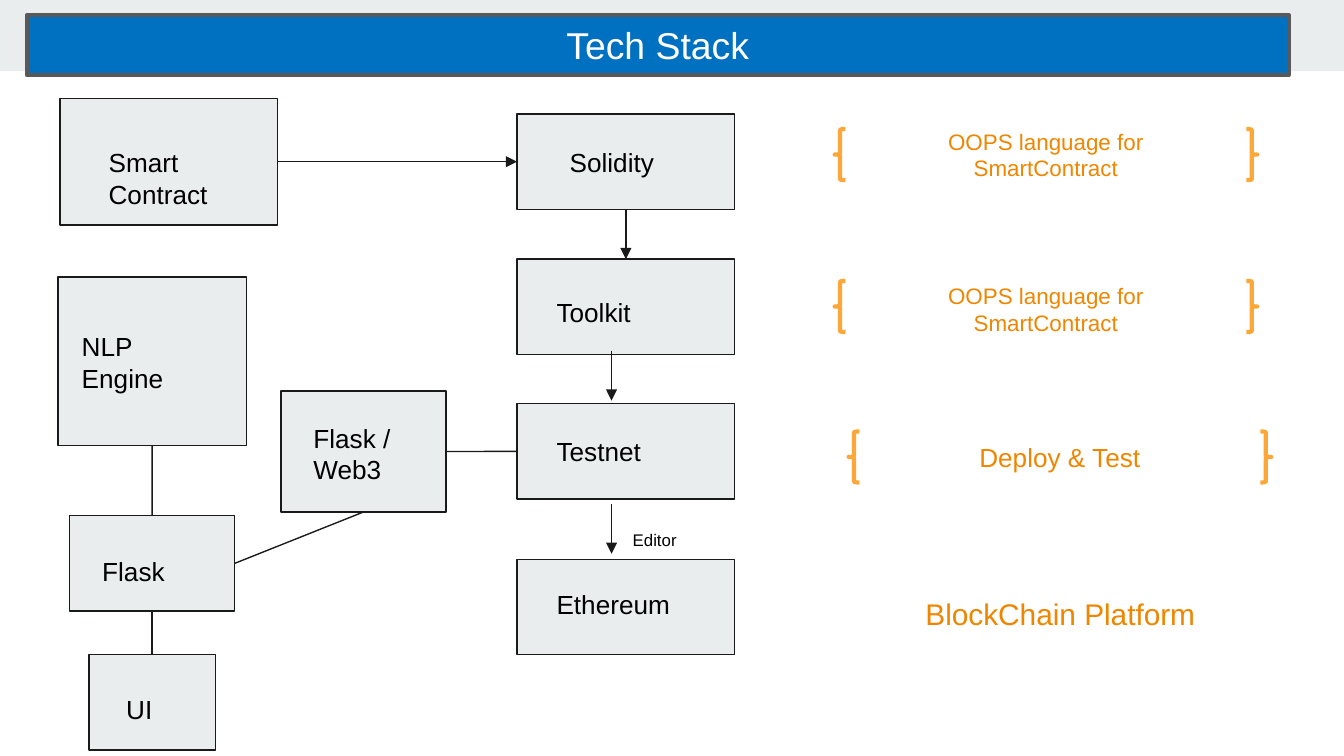
from pptx import Presentation
from pptx.util import Pt
from pptx.dml.color import RGBColor
from pptx.enum import shapes as sh, text as tx
from pptx.oxml.ns import qn
from lxml import etree

HUES = {"blue": "0070C0", "edge": "595959", "pale": "E9EDEE", "ink": "1A1A1A",
        "gold": "FDA739", "amber": "EF8600", "white": "FFFFFF", "black": "000000"}
RGB = {name: RGBColor.from_string(code) for name, code in HUES.items()}
KIND = sh.MSO_SHAPE

prs = Presentation()
prs.slide_width, prs.slide_height = Pt(720), Pt(405)
slide = prs.slides.add_slide(prs.slide_layouts[5])


def put(shape, words, size=14, hue="black", mid=False, pad=7.2, top=None):
    """Write text into a shape; mid centres it both ways."""
    frame = shape.text_frame
    frame.word_wrap = True
    frame.auto_size = tx.MSO_AUTO_SIZE.NONE
    frame.vertical_anchor = tx.MSO_ANCHOR.MIDDLE if mid else tx.MSO_ANCHOR.TOP
    frame.margin_left = frame.margin_right = Pt(7.2)
    frame.margin_top, frame.margin_bottom = Pt(top or pad), Pt(pad)
    para = frame.paragraphs[0]
    para.alignment = tx.PP_ALIGN.CENTER if mid else tx.PP_ALIGN.LEFT
    run = para.add_run()
    run.text = words
    run.font.name, run.font.size = "Arial", Pt(size)
    run.font.color.rgb = RGB[hue]


def draw(home, kind, spot, fill=None, line=None, wide=0.75):
    """Add a preset shape to a slide or group."""
    shape = home.add_shape(kind, *map(Pt, spot))
    shape.shadow.inherit = False
    if fill:
        shape.fill.solid()
        shape.fill.fore_color.rgb = RGB[fill]
    else:
        shape.fill.background()
    if line:
        shape.line.color.rgb = RGB[line]
        shape.line.width = Pt(wide)
    else:
        shape.line.fill.background()
    return shape


# Title bar over the pale band
title = slide.shapes.title
title.left, title.top, title.width, title.height = map(Pt, (14.4, 7.9, 676, 32.4))
title.fill.solid()
title.fill.fore_color.rgb = RGB["blue"]
title.line.color.rgb = RGB["edge"]
title.line.width = Pt(2)
put(title, "Tech Stack", size=20, hue="white", mid=True, pad=3.6)
band = draw(slide.shapes, KIND.RECTANGLE, (0, 0, 720, 38.2), fill="pale")
title.element.addprevious(band.element)

# Boxes with labels: box place, then label left, top, width
col, wide, tall = 277.0, 116.6, 51.1
nodes = {
    "Smart Contract": ((32.2, 52.8, wide, 67.7), (51.1, 71.3, 76.3)),
    "Solidity": ((col, 61.1, wide, tall), (298.1, 71.3, 88.6)),
    "Toolkit": ((col, 138.8, wide, tall), (291.1, 151.4, 88.6)),
    "Testnet": ((col, 216.3, wide, tall), (291.1, 226.1, 88.6)),
    "Ethereum": ((col, 299.6, wide, tall), (291.1, 308.2, 88.6)),
    "NLP Engine": ((31, 148.4, 101, 90.4), (36.7, 170, 76.3)),
    "Flask / Web3": ((150.6, 209.5, 88.3, 64.8), (160.8, 218.9, 67.7)),
    "Flask": ((37.4, 276.3, 88.3, tall), (47.7, 290.2, 67.7)),
    "UI": ((47.6, 350.8, 67.9, tall), (60.5, 364.5, 42.5)),
}
boxes = {}
for name, (spot, label) in nodes.items():
    boxes[name] = draw(slide.shapes, KIND.RECTANGLE, spot, fill="pale", line="ink")
    put(slide.shapes.add_textbox(*map(Pt, (*label, 23))), name)

tag = slide.shapes.add_textbox(Pt(331.9), Pt(277.2), Pt(55.4), Pt(13))
put(tag, "Editor", size=9)

# Lines: ends are (box, side) or a free point
links = [
    (("Smart Contract", 3), ("Solidity", 1), True),
    (("Solidity", 2), ("Toolkit", 0), True),
    ((327.6, 187.9), (327.6, 214.6), True),
    ((327.6, 270), (327.6, 296.7), True),
    (("Flask", 0), ("NLP Engine", 2), False),
    (("Testnet", 1), ("Flask / Web3", 3), False),
    (("Flask", 2), ("UI", 0), False),
    (("Flask", 3), ("Flask / Web3", 2), False),
]
for start, end, arrow in links:
    if start[0] in boxes:
        link = slide.shapes.add_connector(sh.MSO_CONNECTOR.STRAIGHT, 0, 0, 0, 0)
        link.begin_connect(boxes[start[0]], start[1])
        link.end_connect(boxes[end[0]], end[1])
    else:
        link = slide.shapes.add_connector(sh.MSO_CONNECTOR.STRAIGHT, *map(Pt, start + end))
    link.line.color.rgb = RGB["ink"]
    link.line.width = Pt(0.75)
    if arrow:
        tip = etree.SubElement(link.element.spPr.find(qn("a:ln")), qn("a:tailEnd"))
        tip.set("type", "triangle")
    etree.SubElement(link.element.spPr, qn("a:effectLst"))

# Notes in braces: words, size, left, brace top, text top, text height, top inset
notes = [
    ("OOPS language for SmartContract", 12, 447.1, 69.1, 69.1, 27.4, 3.6),
    ("OOPS language for SmartContract", 12, 447.1, 150.5, 139, 38.9, 17.4),
    ("Deploy & Test", 14, 454.6, 231.1, 231.1, 27.4, 3.6),
]
for words, size, left, top, head, high, inset in notes:
    group = slide.shapes.add_group_shape().shapes
    for kind, gap in ((KIND.LEFT_BRACE, 0), (KIND.RIGHT_BRACE, 220.6)):
        draw(group, kind, (left + gap, top, 5.8, 27.4), line="gold", wide=2.25)
    note = draw(group, KIND.RECTANGLE, (left + 16, head, 194.4, high), fill="white")
    put(note, words, size=size, hue="amber", mid=True, pad=3.6, top=inset)

base = draw(slide.shapes, KIND.RECTANGLE, (470.9, 314.8, 194.4, 27.4), fill="white")
put(base, "BlockChain Platform", size=16, hue="amber", mid=True, pad=3.6)

prs.save("out.pptx")
